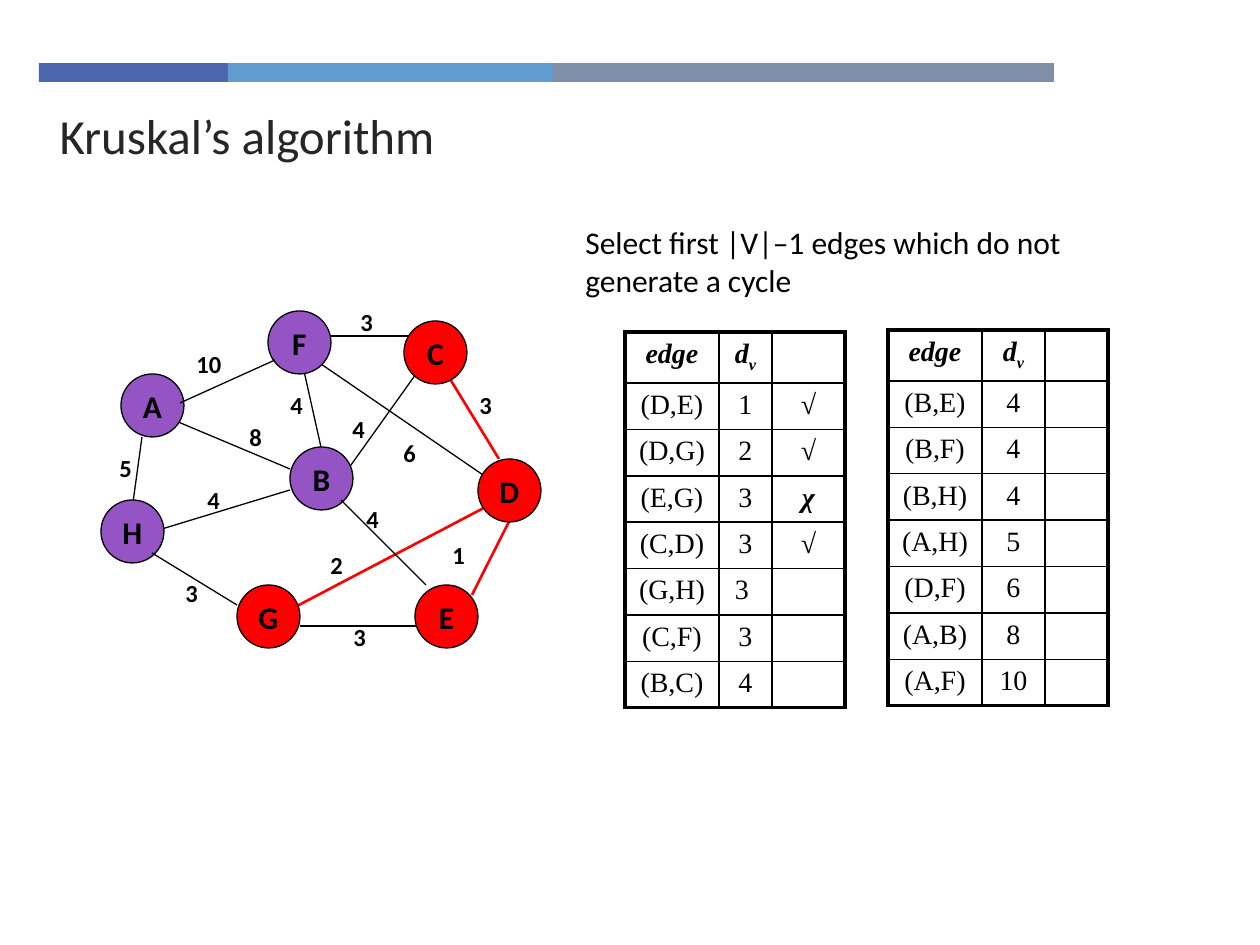
from lxml import etree
from pptx import Presentation
from pptx.dml.color import RGBColor
from pptx.enum.shapes import MSO_CONNECTOR, MSO_SHAPE
from pptx.enum.text import MSO_ANCHOR, PP_ALIGN
from pptx.oxml.ns import qn
from pptx.util import Emu, Pt

LINE, OVAL, RECT = MSO_CONNECTOR.STRAIGHT, MSO_SHAPE.OVAL, MSO_SHAPE.RECTANGLE
TOP, MID = MSO_ANCHOR.TOP, MSO_ANCHOR.MIDDLE
LEFT, CENTER = PP_ALIGN.LEFT, PP_ALIGN.CENTER

BLACK = RGBColor(0x00, 0x00, 0x00)
INK = RGBColor(0x26, 0x26, 0x26)
RED = RGBColor(0xFF, 0x00, 0x00)
PURPLE = RGBColor(0x94, 0x54, 0xC3)
NAVY = RGBColor(0x4A, 0x66, 0xAC)
SKY = RGBColor(0x62, 0x9D, 0xD1)
SLATE = RGBColor(0x7F, 0x8F, 0xA9)

SANS, SERIF = "Calibri", "Times New Roman"
SCALE = 914400 / 126
NODE = 63

# Name, left, top, fill
NODES = [
    ("A", 21, 73, PURPLE), ("H", 1, 199, PURPLE),
    ("B", 190, 146, PURPLE), ("F", 168, 10, PURPLE),
    ("E", 315, 284, RED), ("D", 378, 158, RED),
    ("C", 304, 20, RED), ("G", 137, 284, RED),
]
# Start, end, colour, weight, weight box (left, top, width)
BACK = [
    ((425, 189), (372, 294), RED, "1", (340, 233, 66)),
    ((200, 52), (221, 146), BLACK, "4", (178, 83, 42)),
    ((241, 178), (316, 73), BLACK, "4", (240, 107, 42)),
    ((389, 178), (221, 63), BLACK, "6", (291, 131, 64)),
    ((52, 231), (190, 189), BLACK, "4", (95, 178, 42)),
    ((178, 315), (399, 199), RED, "2", (218, 243, 42)),
    ((32, 209), (42, 136), BLACK, "5", (7, 146, 42)),
    ((64, 115), (190, 168), BLACK, "8", (137, 115, 42)),
    ((226, 35), (311, 35), BLACK, "3", (248, 0, 42)),
    ((347, 73), (399, 158), RED, "3", (367, 83, 42)),
]
FRONT = [
    ((241, 199), (326, 284), BLACK, "4", (254, 197, 66)),
    ((316, 325), (200, 325), BLACK, "3", (241, 315, 42)),
    ((137, 304), (52, 252), BLACK, "3", (73, 271, 42)),
    ((80, 102), (175, 59), BLACK, "10", (84, 42, 66)),
]
FIRST = [
    ("(D,E)", "1", "√"), ("(D,G)", "2", "√"), ("(E,G)", "3", "χ"),
    ("(C,D)", "3", "√"), ("(G,H)", "3 ", ""), ("(C,F)", "3", ""),
    ("(B,C)", "4", ""),
]
SECOND = [
    ("(B,E)", "4", ""), ("(B,F)", "4", ""), ("(B,H)", "4", ""),
    ("(A,H)", "5", ""), ("(D,F)", "6", ""), ("(A,B)", "8", ""),
    ("(A,F)", "10", ""),
]


def px(*nums):
    return [Emu(round(n * SCALE)) for n in nums]


def style(para, face, size, color=BLACK, bold=False, slant=False, align=LEFT):
    font = para.font
    font.name, font.size, font.bold, font.italic = face, Pt(size), bold, slant
    font.color.rgb = color
    para.alignment = align


def add_form(slide, kind, box, fill):
    form = slide.shapes.add_shape(kind, *px(*box))
    form.shadow.inherit = False
    form.fill.solid()
    form.fill.fore_color.rgb = fill
    form.line.fill.background()
    return form


def add_note(slide, box, text, size, bold=False):
    frame = slide.shapes.add_textbox(*px(*box)).text_frame
    frame.word_wrap = True
    frame.text = text
    style(frame.paragraphs[0], SANS, size, bold=bold)


def add_bars(slide, x, y, high):
    for wide, fill in ((189, NAVY), (325, SKY), (501, SLATE)):
        add_form(slide, RECT, (x, y, wide, high), fill)
        x += wide


def add_title(slide, box, text):
    title = slide.shapes.title
    title.left, title.top, title.width, title.height = px(*box)
    frame = title.text_frame
    frame.text = text
    frame.vertical_anchor = MID
    style(frame.paragraphs[0], SANS, 28, INK)


def add_edges(slide, x, y, edges):
    for (x1, y1), (x2, y2), color, weight, (left, top, wide) in edges:
        edge = slide.shapes.add_connector(
            LINE, *px(x + x1, y + y1, x + x2, y + y2))
        edge.line.color.rgb = color
        edge.line.width = Pt(1.5 if color == RED else 0.75)
        etree.SubElement(edge._element.spPr, qn("a:effectLst"))
        add_note(slide, (x + left, y + top, wide, 42), weight, 14, True)


def add_graph(slide, x, y):
    add_edges(slide, x, y, BACK)
    for name, left, top, fill in NODES:
        node = add_form(slide, OVAL, (x + left, y + top, NODE, NODE), fill)
        node.line.color.rgb = BLACK
        node.line.width = Pt(0.75)
        frame = node.text_frame
        frame.word_wrap = False
        frame.vertical_anchor = MID
        frame.text = name
        style(frame.paragraphs[0], SANS, 18, bold=True, align=CENTER)
    add_edges(slide, x, y, FRONT)


def set_edges(cell, outer):
    # Thick lines on the rim of the table, thin ones inside
    props = cell._tc.get_or_add_tcPr()
    for spot, side in enumerate("LRTB"):
        line = etree.Element(qn("a:ln" + side))
        line.set("w", str(Pt(2.25 if side in outer else 1)))
        fill = etree.SubElement(line, qn("a:solidFill"))
        etree.SubElement(fill, qn("a:srgbClr")).set("val", str(BLACK))
        props.insert(spot, line)


def add_grid(slide, x, y, cols, data):
    head, body = 51, 325
    rows = [("edge", "d", "")] + data
    frame = slide.shapes.add_table(
        len(rows), len(cols), *px(x, y, sum(cols), head + body))
    grid = frame.table
    grid.first_row = grid.horz_banding = False
    for col, wide in zip(grid.columns, px(*cols)):
        col.width = wide
    for r, row in enumerate(rows):
        grid.rows[r].height = px(body / len(data) if r else head)[0]
        for c, text in enumerate(row):
            cell = grid.cell(r, c)
            cell.vertical_anchor = TOP
            cell.fill.background()
            outer = ("L" if c == 0 else "") + ("T" if r == 0 else "")
            outer += "R" if c == len(cols) - 1 else ""
            outer += "B" if r == len(rows) - 1 else ""
            set_edges(cell, outer)
            para = cell.text_frame.paragraphs[0]
            strong = r == 0 or c == 2
            style(para, SERIF, 16, bold=strong, slant=strong, align=CENTER)
            if text:
                para.add_run().text = text
            else:
                para._p.get_or_add_endParaRPr().set("sz", "1600")
    # Subscript of the weight heading
    sub = grid.cell(0, 1).text_frame.paragraphs[0].add_run()
    sub.text = "v"
    sub.font._element.set("baseline", "-25000")


def main():
    deck = Presentation()
    deck.slide_width, deck.slide_height = px(1260, 945)
    slide = deck.slides.add_slide(deck.slide_layouts[5])
    add_bars(slide, 39, 63, 19)
    add_title(slide, (47, 101, 902, 68), "Kruskal’s algorithm")
    add_note(slide, (573, 217, 557, 97),
             "Select first |V|–1 edges which do not generate a cycle", 18)
    add_graph(slide, 100, 301)
    add_grid(slide, 625, 332, (94, 53, 73), FIRST)
    add_grid(slide, 888, 330, (94, 63, 63), SECOND)
    deck.save("out.pptx")


if __name__ == "__main__":
    main()
